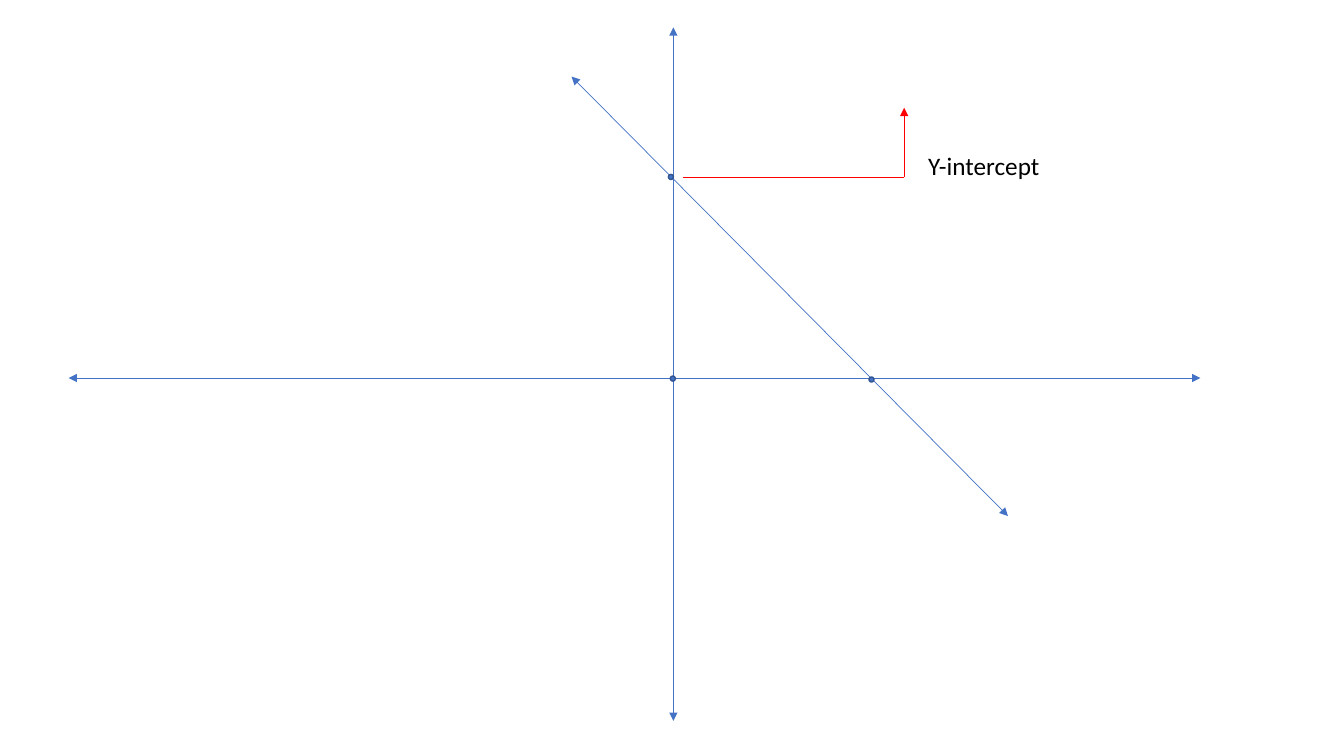
from pptx import Presentation
from pptx.dml.color import RGBColor
from pptx.enum.shapes import MSO_CONNECTOR as Connector, MSO_SHAPE as Shape
from pptx.enum.text import MSO_AUTO_SIZE as AutoSize
from pptx.oxml.ns import qn
from pptx.util import Pt
from lxml import etree

COLORS = {"axis": "4472C4", "dot_edge": "325491", "callout": "FF0000", "text": "000000"}
DOT_SIZE = 3.6


def rgb(name):
    return RGBColor.from_string(COLORS[name])


def add_line(slide, start, end, color, arrows=()):
    """Draw a thin line; arrows lists its arrowhead ends, headEnd before tailEnd."""
    line = slide.shapes.add_connector(
        Connector.STRAIGHT, *(Pt(value) for value in (*start, *end)))
    line.line.color.rgb = rgb(color)
    line.line.width = Pt(0.5)
    for arrow in arrows:
        etree.SubElement(line.line._get_or_add_ln(), qn(f"a:{arrow}"), type="triangle")
    etree.SubElement(line._element.spPr, qn("a:effectLst"))


def add_dot(slide, x, y):
    """Draw a small point centred on x, y."""
    dot = slide.shapes.add_shape(
        Shape.OVAL, Pt(x - DOT_SIZE / 2), Pt(y - DOT_SIZE / 2), Pt(DOT_SIZE), Pt(DOT_SIZE))
    dot.shadow.inherit = False
    dot.fill.solid()
    dot.fill.fore_color.rgb = rgb("axis")
    dot.line.color.rgb = rgb("dot_edge")
    dot.line.width = Pt(1)


def add_graph(slide, left, top, width, height):
    origin_x, origin_y = left + 432, top + 250.5
    both_ends = ("headEnd", "tailEnd")

    # Axes and sloping line
    for start, end in (
        ((left, origin_y), (left + width, origin_y)),
        ((origin_x, top), (origin_x, top + height)),
        ((origin_x - 72.7, origin_y - 215.3), (origin_x + 239, origin_y + 98.6)),
    ):
        add_line(slide, start, end, "axis", both_ends)

    # Y-intercept, x-intercept and origin
    for dx, dy in ((-1.8, -143.6), (141.5, 1.1), (-0.4, 0.4)):
        add_dot(slide, origin_x + dx, origin_y + dy)


def add_callout(slide, left, top, width, height, label):
    # Elbow pointing up
    corner = (left + width, top + height)
    add_line(slide, (left, top + height), corner, "callout")
    add_line(slide, corner, (left + width, top), "callout", ("tailEnd",))

    # Label beside the elbow
    box = slide.shapes.add_textbox(
        Pt(left + width + 10), Pt(top + 26.7), Pt(96.5), Pt(29))
    frame = box.text_frame
    frame.word_wrap = True
    frame.auto_size = AutoSize.SHAPE_TO_FIT_TEXT
    paragraph = frame.paragraphs[0]
    paragraph.text = label
    paragraph.font.name = "Calibri"
    paragraph.font.size = Pt(18)
    paragraph.font.color.rgb = rgb("text")


def main():
    presentation = Presentation()
    presentation.slide_width, presentation.slide_height = Pt(960), Pt(540)
    slide = presentation.slides.add_slide(presentation.slide_layouts[6])
    add_graph(slide, 49, 19.5, 808.5, 495.4)
    add_callout(slide, 488.2, 77, 157.7, 49.5, "Y-intercept")
    presentation.save("out.pptx")


if __name__ == "__main__":
    main()
